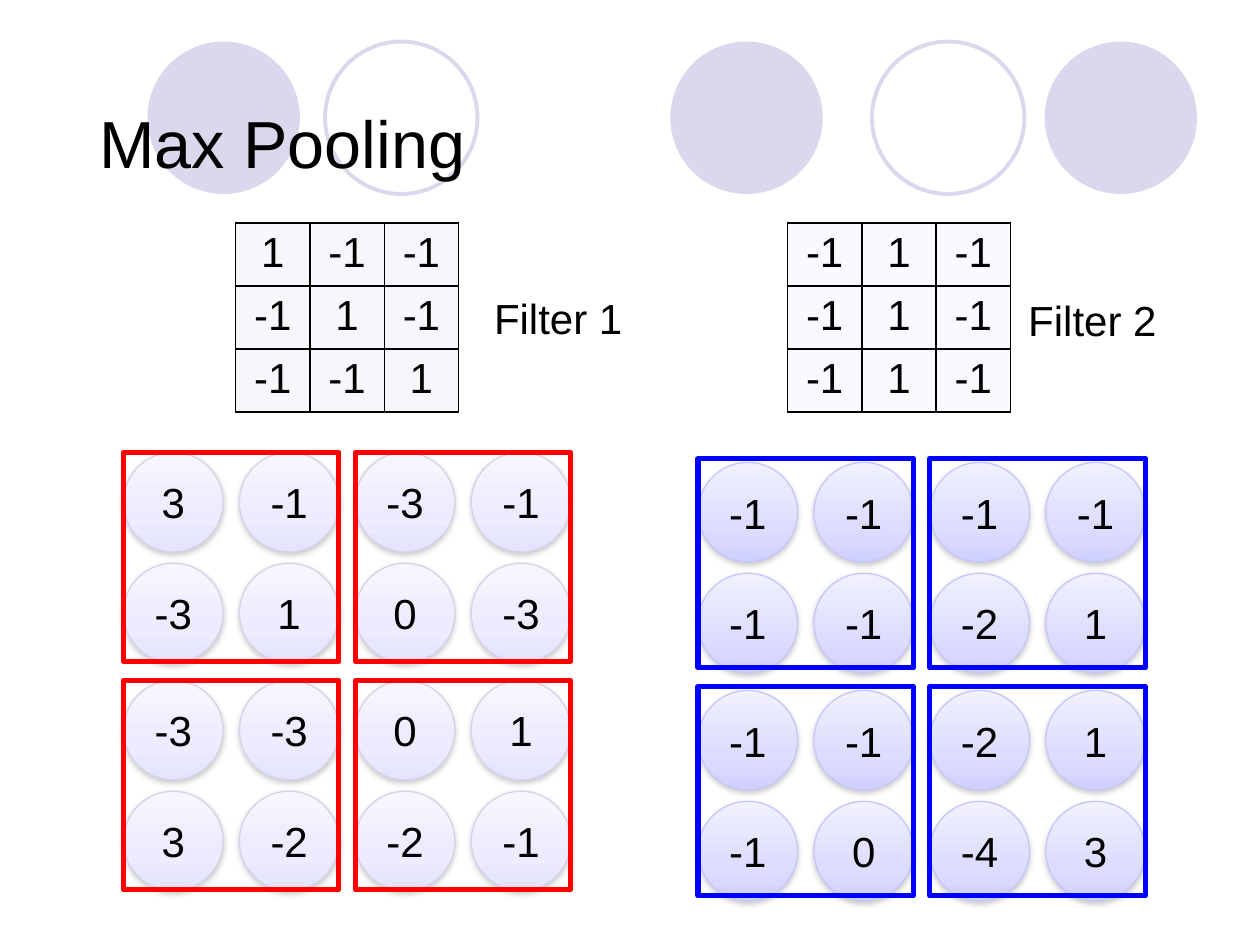
from copy import deepcopy
from itertools import product

from lxml import etree
from pptx import Presentation
from pptx import util as u
from pptx.dml import color
from pptx.enum import shapes, text
from pptx.oxml import ns

HUES = {
    "ink": "000000", "dot": "D9D8EC", "shade": "808080",
    "red": "FF0000", "blue": "0000FF",
    "pale": "F7F7FB", "cool": "F9F9FF",
    "rim1": "D4D3E7", "rim2": "C6C6FB",
    "top1": "F7F6FF", "mid1": "ECEBFF", "low1": "E5E3FF",
    "top2": "F0F0FF", "mid2": "DDDDFF", "low2": "D0D0FF",
}
FONT = {"name": "Arial", "size": u.Pt(24)}
HEAD = {"name": "Arial", "size": u.Pt(38)}
FRAME = {"word_wrap": True, "vertical_anchor": text.MSO_ANCHOR.MIDDLE}
PLAIN = {"first_row": False, "horz_banding": False}
OVAL, RECT = shapes.MSO_SHAPE.OVAL, shapes.MSO_SHAPE.RECTANGLE
MID, LEFT = text.PP_ALIGN.CENTER, text.PP_ALIGN.LEFT


def rgb(name):
    """Return the named colour."""
    return color.RGBColor.from_string(HUES[name])


def apply(item, form):
    """Set each attribute in form on item."""
    for key, value in form.items():
        setattr(item, key, value)


def node(parent, tag, **attrs):
    """Add a drawing element under parent."""
    return etree.SubElement(parent, ns.qn("a:" + tag), attrs)


def write(frame, words, font=FONT, align=MID):
    """Write one line of text in a frame."""
    par = frame.paragraphs[0]
    par.alignment = align
    run = par.add_run()
    run.text = words
    apply(run.font, font)
    run.font.color.rgb = rgb("ink")


def label(slide, box, words, font=FONT, align=MID):
    """Place a text box."""
    frame = slide.shapes.add_textbox(*map(u.Inches, box)).text_frame
    apply(frame, FRAME)
    write(frame, words, font, align)


def outline(slide, kind, box, hue, width):
    """Place an unfilled shape with a coloured line."""
    shape = slide.shapes.add_shape(kind, *map(u.Inches, box))
    shape.shadow.inherit = False
    shape.fill.background()
    shape.line.color.rgb = rgb(hue)
    shape.line.width = u.Pt(width)
    return shape


def header(slide, box, words):
    """Place the row of dots and the title over it."""
    left, top, width, height = box
    dots = [(4.63, True), (7.6, True), (0.48, True), (6.23, False), (1.89, False)]
    for gap, solid in dots:
        dot = outline(slide, OVAL, (left + gap, top - 0.07, 1.21, 1.21), "dot", 2.25)
        if solid:
            dot.fill.solid()
            dot.fill.fore_color.rgb = rgb("dot")
            dot.line.fill.background()
    label(slide, box, words, HEAD, LEFT)


def matrix(slide, box, rows, hue):
    """Place a bordered table of filter weights."""
    table = slide.shapes.add_table(len(rows), len(rows[0]), *map(u.Inches, box)).table
    apply(table, PLAIN)
    for r, c in product(range(len(rows)), range(len(rows[0]))):
        cell = table.cell(r, c)
        props = cell._tc.get_or_add_tcPr()
        for side in ("lnL", "lnR", "lnT", "lnB"):
            line = node(props, side, w=str(u.Pt(1)))
            node(node(line, "solidFill"), "srgbClr", val=HUES["ink"])
        cell.fill.solid()
        cell.fill.fore_color.rgb = rgb(hue)
        write(cell.text_frame, rows[r][c])


def ball(slide, box, words, tone):
    """Place a shaded ball with a number."""
    shape = outline(slide, OVAL, box, "rim" + tone, 0.75)
    shape.fill.gradient()
    shape.fill.gradient_angle = 270
    props = shape._element.spPr
    stops = props.find(".//" + ns.qn("a:gsLst"))
    stops.append(deepcopy(stops[-1]))
    for stop, name, spot in zip(shape.fill.gradient_stops, ("top", "mid", "low"), (0, 0.65, 1)):
        stop.color.rgb = rgb(name + tone)
        stop.position = spot
    cast = node(props.find(ns.qn("a:effectLst")), "outerShdw", blurRad=str(u.Pt(3.1)),
                dist=str(u.Pt(1.6)), dir="5400000", rotWithShape="0")
    node(node(cast, "srgbClr", val=HUES["shade"]), "alpha", val="38000")
    apply(shape.text_frame, {**FRAME, "word_wrap": False})
    write(shape.text_frame, words)


def pools(slide, box, rows, tone, hue, drop):
    """Place a grid of balls, framed two by two, with balls set down by drop."""
    left, top, width, height = box
    wide, high, side = 1.84, 1.81, 0.79
    for r, c in product(range(4), range(4)):
        x = left + c * wide / 2
        y = top + drop + r // 2 * high + r % 2 * 0.88
        ball(slide, (x, y, side, side), rows[r][c], tone)
    for r, c in product(range(2), range(2)):
        spot = (left + c * wide, top + r * high, width - wide, height - high)
        outline(slide, RECT, spot, hue, 3)


def main():
    """Build the slide and save it."""
    deck = Presentation()
    apply(deck, {"slide_width": u.Inches(10), "slide_height": u.Inches(7.5)})
    slide = deck.slides.add_slide(deck.slide_layouts[6])
    header(slide, (0.69, 0.4, 8.62, 1.45), "Max Pooling")
    first = [("1", "-1", "-1"), ("-1", "1", "-1"), ("-1", "-1", "1")]
    matrix(slide, (1.87, 1.77, 1.77, 1.5), first, "pale")
    matrix(slide, (6.25, 1.77, 1.77, 1.42), [("-1", "1", "-1")] * 3, "cool")
    label(slide, (3.64, 2.27, 1.58, 0.51), "Filter 1")
    label(slide, (7.88, 2.28, 1.58, 0.51), "Filter 2")
    warm = [("3", "-1", "-3", "-1"), ("-3", "1", "0", "-3"),
            ("-3", "-3", "0", "1"), ("3", "-2", "-2", "-1")]
    cold = [("-1", "-1", "-1", "-1"), ("-1", "-1", "-2", "1"),
            ("-1", "-1", "-2", "1"), ("-1", "0", "-4", "3")]
    pools(slide, (0.98, 3.59, 3.55, 3.47), warm, "1", "red", 0)
    pools(slide, (5.54, 3.64, 3.55, 3.47), cold, "2", "blue", 0.03)
    deck.save("out.pptx")


if __name__ == "__main__":
    main()
